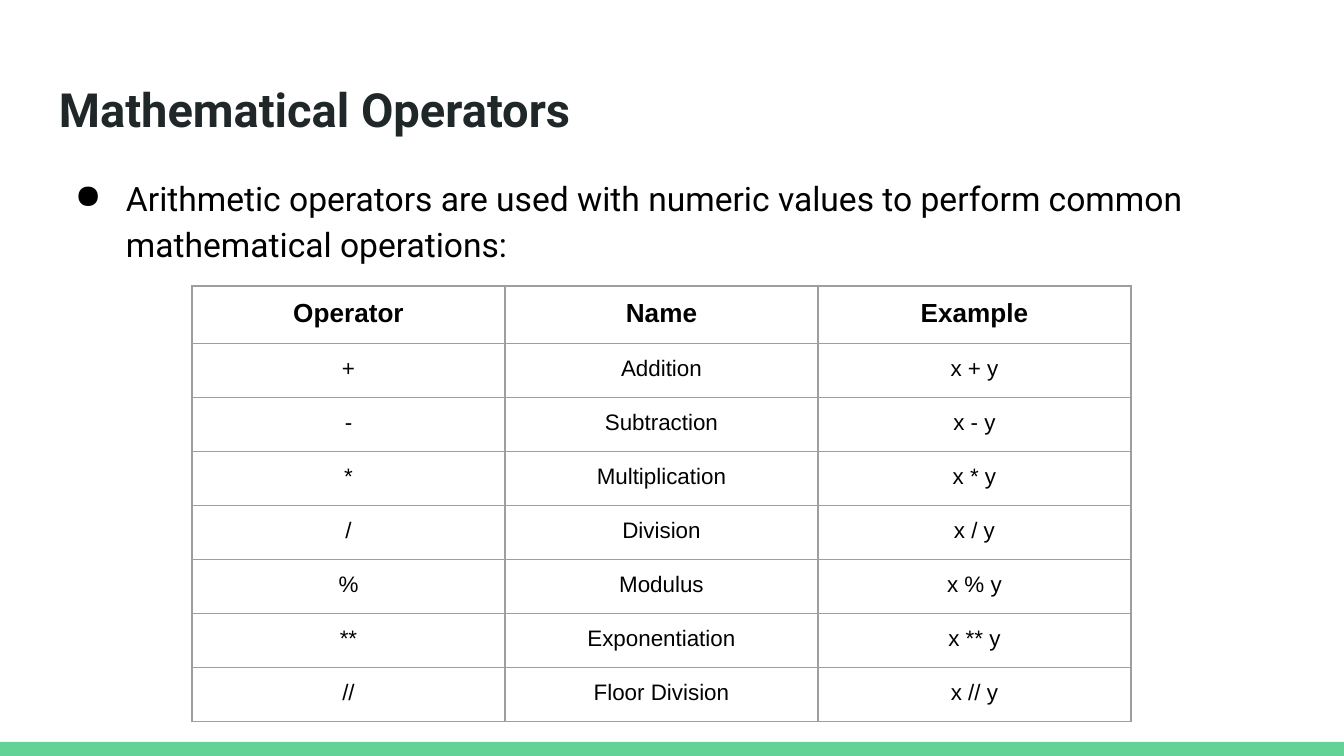
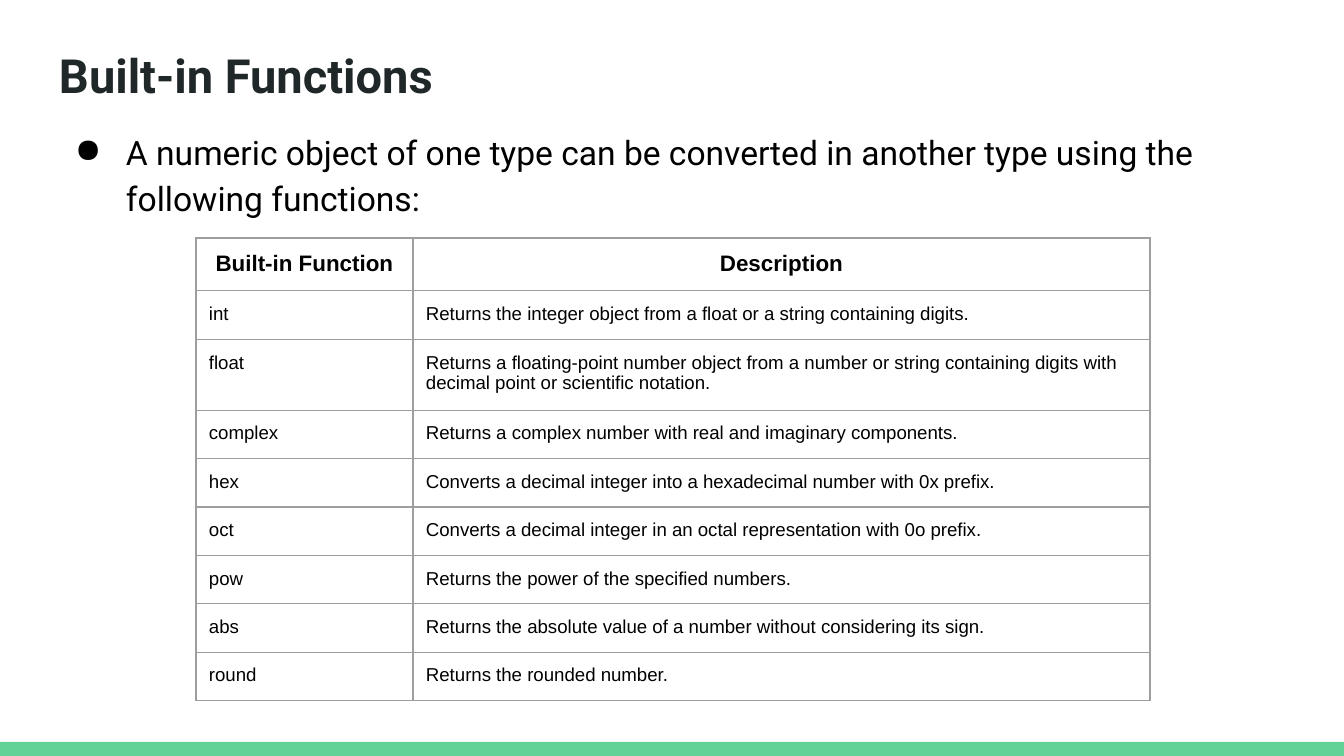
import pptx
import pptx.util
import pptx.dml.color
import pptx.enum.shapes
import pptx.enum.text
import pptx.oxml
import pptx.oxml.ns

RGB = pptx.dml.color.RGBColor
ALIGN = pptx.enum.text.PP_ALIGN
ANCHOR = pptx.enum.text.MSO_ANCHOR

GREEN = RGB(0x63, 0xD2, 0x97)
DARK = RGB(0x20, 0x27, 0x29)
BLACK = RGB(0, 0, 0)
GRAY = RGB(0x9E, 0x9E, 0x9E)

PX_PER_INCH = 134.4
WIDTH, HEIGHT = 1344, 756
BAND = 14
LEFT, TEXT_WIDTH = 46, 1252
TITLE_HEIGHT = 85
INSET = 13

OPERATORS = [
    ("Operator", "Name", "Example"),
    ("+", "Addition", "x + y"),
    ("-", "Subtraction", "x - y"),
    ("*", "Multiplication", "x * y"),
    ("/", "Division", "x / y"),
    ("%", "Modulus", "x % y"),
    ("**", "Exponentiation", "x ** y"),
    ("//", "Floor Division", "x // y"),
]
FUNCTIONS = [
    ("Built-in Function", "Description"),
    ("int", "Returns the integer object from a float or a string containing digits."),
    ("float", "Returns a floating-point number object from a number or string "
              "containing digits with decimal point or scientific notation."),
    ("complex", "Returns a complex number with real and imaginary components."),
    ("hex", "Converts a decimal integer into a hexadecimal number with 0x prefix."),
    ("oct", "Converts a decimal integer in an octal representation with 0o prefix."),
    ("pow", "Returns the power of the specified numbers."),
    ("abs", "Returns the absolute value of a number without considering its sign."),
    ("round", "Returns the rounded number."),
]


def px(n):
    """Turn pixels into EMU."""
    return pptx.util.Emu(round(n * 914400 / PX_PER_INCH))


def set_insets(target):
    """Give a text frame or a cell the same margin on each side."""
    for side in ("left", "top", "right", "bottom"):
        setattr(target, f"margin_{side}", px(INSET))


def write(tf, text, size, font="Arial", color=BLACK, bold=False,
          align=ALIGN.LEFT, spacing=None, bullet=None):
    """Write one formatted paragraph into a text frame."""
    p = tf.paragraphs[0]
    if bullet:
        add_bullet(p, bullet, color)
    p.alignment = align
    if spacing:
        p.line_spacing = spacing
    r = p.add_run()
    r.text = text
    r.font.name = font
    r.font.size = pptx.util.Pt(size)
    r.font.bold = bold
    r.font.color.rgb = color


def add_bullet(p, char, color):
    """Give a paragraph a coloured bullet with a hanging indent."""
    pPr = p._p.get_or_add_pPr()
    pPr.set("marL", str(px(67)))
    pPr.set("indent", str(px(-51)))
    ns = pptx.oxml.ns.nsdecls("a")
    for xml in (f'<a:buClr {ns}><a:srgbClr val="{color}"/></a:buClr>',
                f'<a:buChar {ns} char="{char}"/>'):
        pPr.append(pptx.oxml.parse_xml(xml))


def set_borders(cell, color, width):
    """Draw a solid line on all four sides of a cell."""
    ns = pptx.oxml.ns.nsdecls("a")
    tcPr = cell._tc.get_or_add_tcPr()
    for side in "LRTB":
        tcPr.append(pptx.oxml.parse_xml(
            f'<a:ln{side} {ns} w="{pptx.util.Pt(width)}"><a:solidFill>'
            f'<a:srgbClr val="{color}"/></a:solidFill></a:ln{side}>'))


def add_slide(prs, title, top):
    """Add a slide with its title and the green band at the bottom."""
    s = prs.slides.add_slide(prs.slide_layouts[5])
    band = s.shapes.add_shape(pptx.enum.shapes.MSO_SHAPE.RECTANGLE,
                              0, px(HEIGHT - BAND), px(WIDTH), px(BAND))
    band.shadow.inherit = False
    band.fill.solid()
    band.fill.fore_color.rgb = GREEN
    band.line.fill.background()

    sp = s.shapes.title
    sp.left, sp.top = px(LEFT), px(top)
    sp.width, sp.height = px(TEXT_WIDTH), px(TITLE_HEIGHT)
    tf = sp.text_frame
    tf.auto_size = pptx.enum.text.MSO_AUTO_SIZE.NONE
    tf.vertical_anchor = ANCHOR.MIDDLE
    set_insets(tf)
    write(tf, title, 25.2, font="Roboto", color=DARK, bold=True)
    return s


def add_intro(s, text, top, height):
    """Add the bulleted sentence above a table."""
    sp = s.shapes.add_textbox(px(LEFT), px(top), px(TEXT_WIDTH), px(height))
    tf = sp.text_frame
    tf.word_wrap = True
    set_insets(tf)
    write(tf, text, 18, font="Roboto", spacing=1.15, bullet="●")


def add_grid(s, rows, left, top, widths, heights, head_size, size, align):
    """Add a bordered table with a bold, centred header row."""
    frame = s.shapes.add_table(len(rows), len(widths), px(left), px(top),
                               px(sum(widths)), px(sum(heights)))
    table = frame.table
    table.first_row = table.horz_banding = False
    for col, width in zip(table.columns, widths):
        col.width = px(width)
    for i, (row, height) in enumerate(zip(rows, heights)):
        table.rows[i].height = px(height)
        for j, text in enumerate(row):
            cell = table.cell(i, j)
            set_insets(cell)
            set_borders(cell, GRAY, 0.75)
            cell.fill.background()
            if i == 0:
                write(cell.text_frame, text, head_size, bold=True, align=ALIGN.CENTER)
            else:
                write(cell.text_frame, text, size, align=align)


def main():
    """Build both slides and save the file."""
    prs = pptx.Presentation()
    prs.slide_width, prs.slide_height = px(WIDTH), px(HEIGHT)

    s = add_slide(prs, "Mathematical Operators", 66)
    add_intro(s, "Arithmetic operators are used with numeric values to perform "
                 "common mathematical operations:", 159, 124)
    add_grid(s, OPERATORS, 192, 286, [313] * 3, [57] + [54] * 7,
             head_size=14, size=12, align=ALIGN.CENTER)

    s = add_slide(prs, "Built-in Functions", 32)
    add_intro(s, "A numeric object of one type can be converted in another type "
                 "using the following functions:", 113, 116)
    add_grid(s, FUNCTIONS, 196, 238, [217, 737], [52, 48, 67] + [48] * 6,
             head_size=12, size=10, align=ALIGN.LEFT)

    prs.save("out.pptx")


if __name__ == "__main__":
    main()
